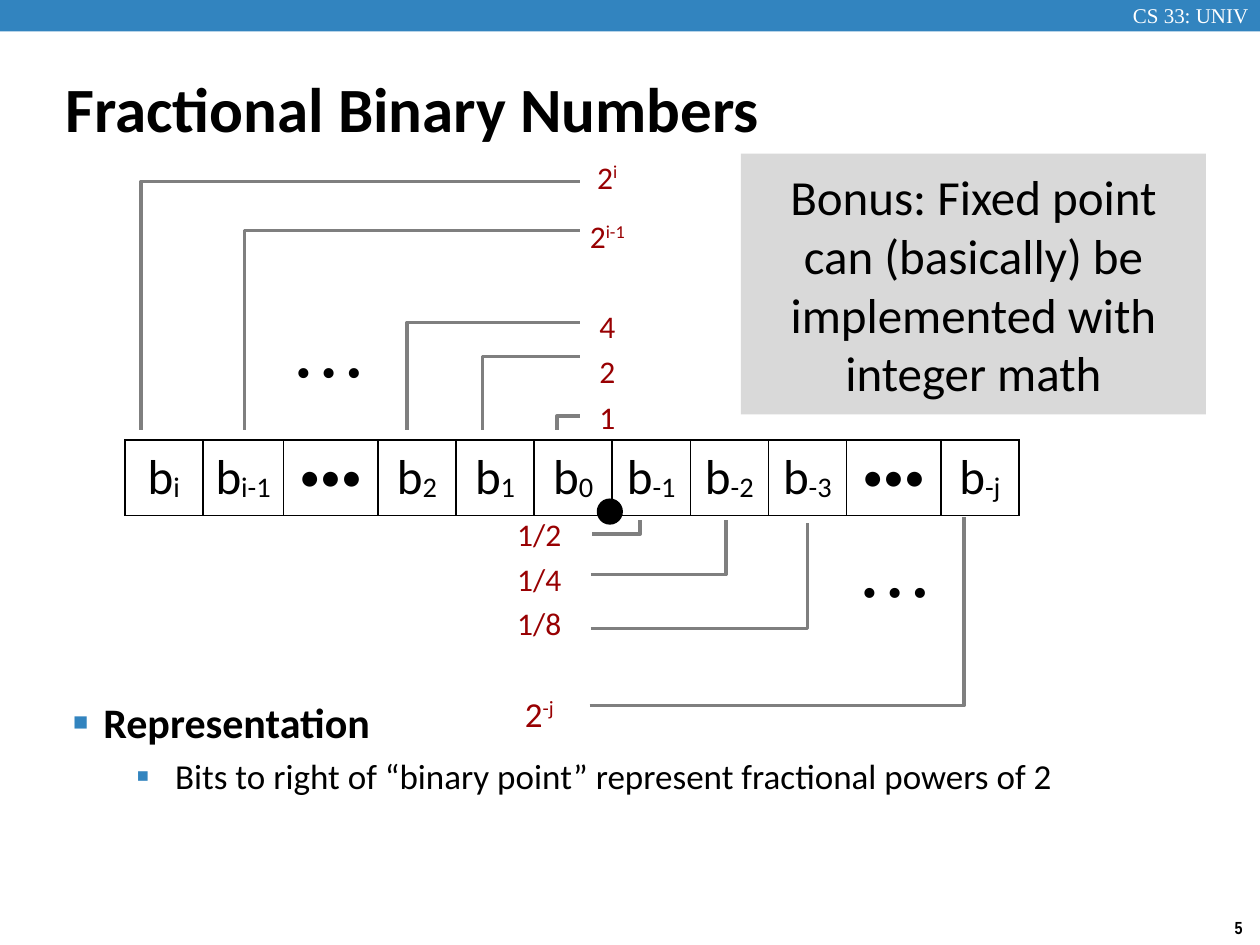
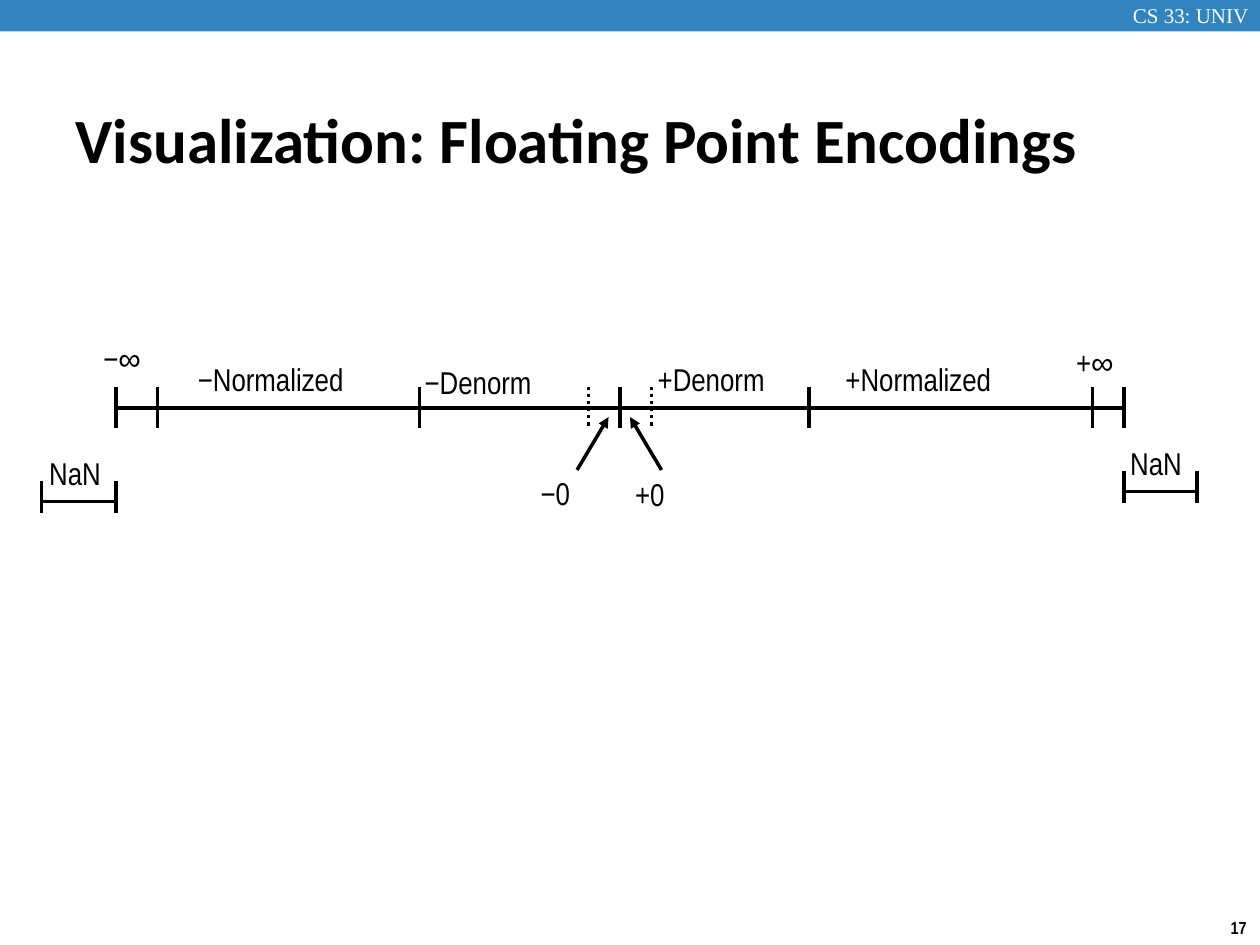
from lxml import etree
from pptx import Presentation
from pptx.dml.color import RGBColor
from pptx.enum.dml import MSO_LINE
from pptx.enum.shapes import MSO_CONNECTOR, MSO_SHAPE
from pptx.enum.text import MSO_ANCHOR, MSO_AUTO_SIZE, PP_ALIGN
from pptx.oxml.ns import qn
from pptx.util import Emu, Inches, Pt

# Shared look
BLUE = RGBColor(0x32, 0x84, 0xBF)
RED = RGBColor(0x98, 0x00, 0x02)
GRAY = RGBColor(0x7F, 0x7F, 0x7F)
PALE = RGBColor(0xD9, 0xD9, 0xD9)
BLACK = RGBColor(0, 0, 0)
WHITE = RGBColor(0xFF, 0xFF, 0xFF)
SANS, NARROW, SERIF = "Calibri", "Arial Narrow", "Times New Roman"
COURSE = "CS 33: UNIV"
SUPER, SUB = 32000, -6000

# Slide 1: each entry is (base, raised or lowered part, size)
DOTS = "•••"
BITS = [("b", s, 28) for s in ("i", "i-1")] + [(DOTS, "", 24)]
BITS += [("b", s, 28) for s in ("2", "1", "0", "-1", "-2", "-3")]
BITS += [(DOTS, "", 24), ("b", "-j", 28)]
BIT_WIDTHS = [{"i-1": 0.64, "": 0.75}.get(mark, 0.62) for _, mark, _ in BITS]
WHOLE_WEIGHTS = [("2", "i", 18), ("2", "i-1", 18), ("", "", 18),
                 ("4", "", 18), ("2", "", 18), ("1", "", 18)]
WHOLE_HEIGHTS = [0.47, 0.47, 0.29, 0.36, 0.36, 0.36]
FRACTION_WEIGHTS = [("1/2", "", 18), ("1/4", "", 18), ("1/8", "", 18),
                    ("", "", 18), ("2", "-j", 20)]
FRACTION_HEIGHTS = [0.35, 0.35, 0.35, 0.22, 0.49]
# Brackets run from a weight to a bit: (weight x, weight y, bit x, bit y)
BRACKETS = [(4.6, y, x, 3.41) for x, y in
            [(4.42, 3.3), (3.83, 2.83), (3.23, 2.56), (1.94, 1.83), (1.12, 1.44)]]
BRACKETS += [(4.7, 4.24, 5.08, 4.13), (4.69, 4.56, 5.76, 4.13),
             (4.69, 4.99, 6.41, 4.15), (4.68, 5.6, 7.65, 4.1)]
ELLIPSES = [((2.31, 2.65, 0.61, 0.58), 0), ((6.79, 4.44, 0.61, 0.58), 180)]
BONUS = "Bonus: Fixed point can (basically) be implemented with integer math"
# (text, level, size, bold, margin, hang, space before, bullet, bullet size %)
POINTS = [
    ("Representation", 0, 24, True, 0.24, 0.24, 0, "■", 60),
    ("Bits to right of “binary point” represent fractional powers of 2",
     1, 20, False, 0.81, 0.31, 4, "▪", 110),
]

# Slide 2: number line
AXIS_Y, AXIS_ENDS = 3.24, (0.92, 8.92)
TICKS = [0.92, 1.25, 3.33, 4.92, 6.42, 8.67, 8.92]
DOTTED_TICKS = [4.67, 5.17]
NAN_SPANS = [(0.33, 0.92, 3.98), (8.92, 9.5, 3.9)]
ZERO_ARROWS = [(4.58, 4.83), (5.25, 5.0)]
RANGE_LABELS = [
    ("−∞", 0.78, 2.65, 0.41), ("+∞", 8.5, 2.68, 0.41),
    ("−Normalized", 1.53, 2.82, 1.51), ("+Normalized", 6.67, 2.82, 1.51),
    ("−Denorm", 3.33, 2.84, 1.13), ("+Denorm", 5.18, 2.82, 1.13),
    ("−0", 4.25, 3.72, 0.36), ("+0", 5.0, 3.73, 0.37),
    ("NaN", 0.35, 3.56, 0.59), ("NaN", 8.93, 3.48, 0.59),
]


def inches(values):
    return [Inches(v) for v in values]


def style(paragraph, font, size, color=BLACK, bold=False, align=PP_ALIGN.LEFT):
    paragraph.alignment = align
    paragraph.font.name = font
    paragraph.font.size = Pt(size)
    paragraph.font.bold = bold
    paragraph.font.color.rgb = color


def set_insets(holder, inset):
    holder.margin_left = holder.margin_right = Inches(inset)
    holder.margin_top = holder.margin_bottom = Inches(inset)


def add_label(slide, text, box, font, size, inset=None, wrap=False, **look):
    frame = slide.shapes.add_textbox(*inches(box)).text_frame
    frame.word_wrap = wrap
    frame.auto_size = MSO_AUTO_SIZE.SHAPE_TO_FIT_TEXT
    if inset is not None:
        set_insets(frame, inset)
    frame.text = text
    style(frame.paragraphs[0], font, size, **look)


def add_block(slide, box, fill, kind=MSO_SHAPE.RECTANGLE):
    block = slide.shapes.add_shape(kind, *inches(box))
    block.shadow.inherit = False
    block.fill.solid()
    block.fill.fore_color.rgb = fill
    block.line.fill.background()
    return block


def add_line(slide, start, end, dotted=False, arrow=False):
    line = slide.shapes.add_connector(MSO_CONNECTOR.STRAIGHT, *inches(start + end))
    line.line.color.rgb = BLACK
    line.line.width = Pt(2)
    if dotted:
        line.line.dash_style = MSO_LINE.ROUND_DOT
    properties = line._element.spPr
    if arrow:
        etree.SubElement(properties.find(qn("a:ln")), qn("a:tailEnd"), type="triangle")
    etree.SubElement(properties, qn("a:effectLst"))


def add_bracket(slide, weight_x, weight_y, bit_x, bit_y):
    points = [inches(p) for p in
              [(weight_x, weight_y), (bit_x, weight_y), (bit_x, bit_y)]]
    builder = slide.shapes.build_freeform(*points[0])
    builder.add_line_segments(points[1:], close=False)
    bracket = builder.convert_to_shape()
    bracket.shadow.inherit = False
    bracket.fill.background()
    bracket.line.color.rgb = GRAY
    bracket.line.width = Pt(2)


def border_cell(cell, color):
    for place, side in enumerate(("a:lnL", "a:lnR", "a:lnT", "a:lnB")):
        edge = etree.Element(qn(side), w=str(Pt(1)))
        fill = etree.SubElement(edge, qn("a:solidFill"))
        etree.SubElement(fill, qn("a:srgbClr"), val=str(color))
        cell._tc.get_or_add_tcPr().insert(place, edge)


def add_grid(slide, corner, widths, heights, entries, color, shift, border, inset=0):
    size = (sum(widths), sum(heights))
    table = slide.shapes.add_table(len(heights), len(widths),
                                   *inches(corner + size)).table
    table.first_row = table.horz_banding = False
    for column, width in zip(table.columns, widths):
        column.width = Inches(width)
    for row, height in zip(table.rows, heights):
        row.height = Inches(height)
    for cell, (base, mark, points) in zip(table.iter_cells(), entries):
        cell.fill.background()
        cell.vertical_anchor = MSO_ANCHOR.MIDDLE
        set_insets(cell, inset)
        border_cell(cell, border)
        paragraph = cell.text_frame.paragraphs[0]
        style(paragraph, SANS, points, color, align=PP_ALIGN.CENTER)
        if not base:
            paragraph.line_spacing = Pt(10)
            continue
        paragraph.add_run().text = base
        if mark:
            run = paragraph.add_run()
            run.text = mark
            run._r.get_or_add_rPr().set("baseline", str(shift))


def set_bullet(paragraph, margin, hang, character, percent):
    properties = paragraph._p.get_or_add_pPr()
    properties.set("marL", str(Inches(margin)))
    properties.set("indent", str(-Inches(hang)))
    color = etree.SubElement(properties, qn("a:buClr"))
    etree.SubElement(color, qn("a:srgbClr"), val=str(BLUE))
    etree.SubElement(properties, qn("a:buSzPct"), val=str(percent * 1000))
    etree.SubElement(properties, qn("a:buChar"), char=character)


def place(placeholder, box):
    (placeholder.left, placeholder.top,
     placeholder.width, placeholder.height) = inches(box)


def add_slide(layout, title, title_box, number):
    slide = deck.slides.add_slide(deck.slide_layouts[layout])
    add_block(slide, (0, 0, 10, 0.25), BLUE)
    add_label(slide, COURSE, (8.83, -0.03, 1.24, 0.3), SERIF, 12, wrap=True,
              color=WHITE, align=PP_ALIGN.CENTER)
    add_label(slide, number, (9.66, 7.23, 0.34, 0.27), NARROW, 10,
              bold=True, align=PP_ALIGN.CENTER)
    heading = slide.shapes.title
    place(heading, title_box)
    heading.text_frame.text = title
    heading.text_frame.vertical_anchor = MSO_ANCHOR.MIDDLE
    style(heading.text_frame.paragraphs[0], SANS, 36, bold=True)
    return slide


deck = Presentation()
deck.slide_width, deck.slide_height = Inches(10), Inches(7.5)

# Slide 1: bits and their weights
binary = add_slide(1, "Fractional Binary Numbers", (0.42, 0, 7.51, 1.7), "5")
add_grid(binary, (4.5, 1.18), [0.64], WHOLE_HEIGHTS, WHOLE_WEIGHTS, RED, SUPER, WHITE)
add_grid(binary, (3.92, 4.08), [0.72], FRACTION_HEIGHTS, FRACTION_WEIGHTS,
         RED, SUPER, WHITE)
add_grid(binary, (0.99, 3.49), BIT_WIDTHS, [0.6], BITS, BLACK, SUB, BLACK, 0.06)

for bracket in BRACKETS:
    add_bracket(binary, *bracket)
for box, turn in ELLIPSES:
    ellipsis = add_block(binary, box, WHITE)
    ellipsis.rotation = turn
    frame = ellipsis.text_frame
    frame.word_wrap = False
    set_insets(frame, 0.04)
    frame.text = "• • •"
    style(frame.paragraphs[0], SERIF, 24)

binary_point = add_block(binary, (4.75, 3.97, 0.18, 0.18), BLACK, MSO_SHAPE.OVAL)
binary_point.line.color.rgb = BLACK
binary_point.line.width = Pt(2)

bonus = add_block(binary, (5.88, 1.22, 3.69, 2.07), PALE).text_frame
bonus.word_wrap = True
bonus.text = BONUS
style(bonus.paragraphs[0], SANS, 28, align=PP_ALIGN.CENTER)

# Slide 1: bullet list
body = binary.placeholders[1]
place(body, (0.48, 5.48, 9.27, 2.02))
for index, (text, level, size, bold, margin, hang, before, mark, percent) in enumerate(POINTS):
    frame = body.text_frame
    point = frame.add_paragraph() if index else frame.paragraphs[0]
    point.text = text
    point.level = level
    set_bullet(point, margin, hang, mark, percent)
    point.space_before = Pt(before)
    style(point, SANS, size, bold=bold)

# Slide 2: number line of encodings
encodings = add_slide(5, "Visualization: Floating Point Encodings",
                      (0.5, 0.5, 8.84, 1.2), "17")
add_line(encodings, (AXIS_ENDS[0], AXIS_Y), (AXIS_ENDS[1], AXIS_Y))
for x in TICKS + DOTTED_TICKS:
    add_line(encodings, (x, AXIS_Y - 0.17), (x, AXIS_Y + 0.16), dotted=x in DOTTED_TICKS)
for left, right, y in NAN_SPANS:
    add_line(encodings, (left, y), (right, y))
    for x in (left, right):
        add_line(encodings, (x, y - 0.16), (x, y + 0.09))
for tail_x, head_x in ZERO_ARROWS:
    add_line(encodings, (tail_x, 3.73), (head_x, 3.31), arrow=True)
for text, left, top, width in RANGE_LABELS:
    add_label(encodings, text, (left, top, width, 0.39), NARROW, 18, inset=0.04)

deck.save("out.pptx")
